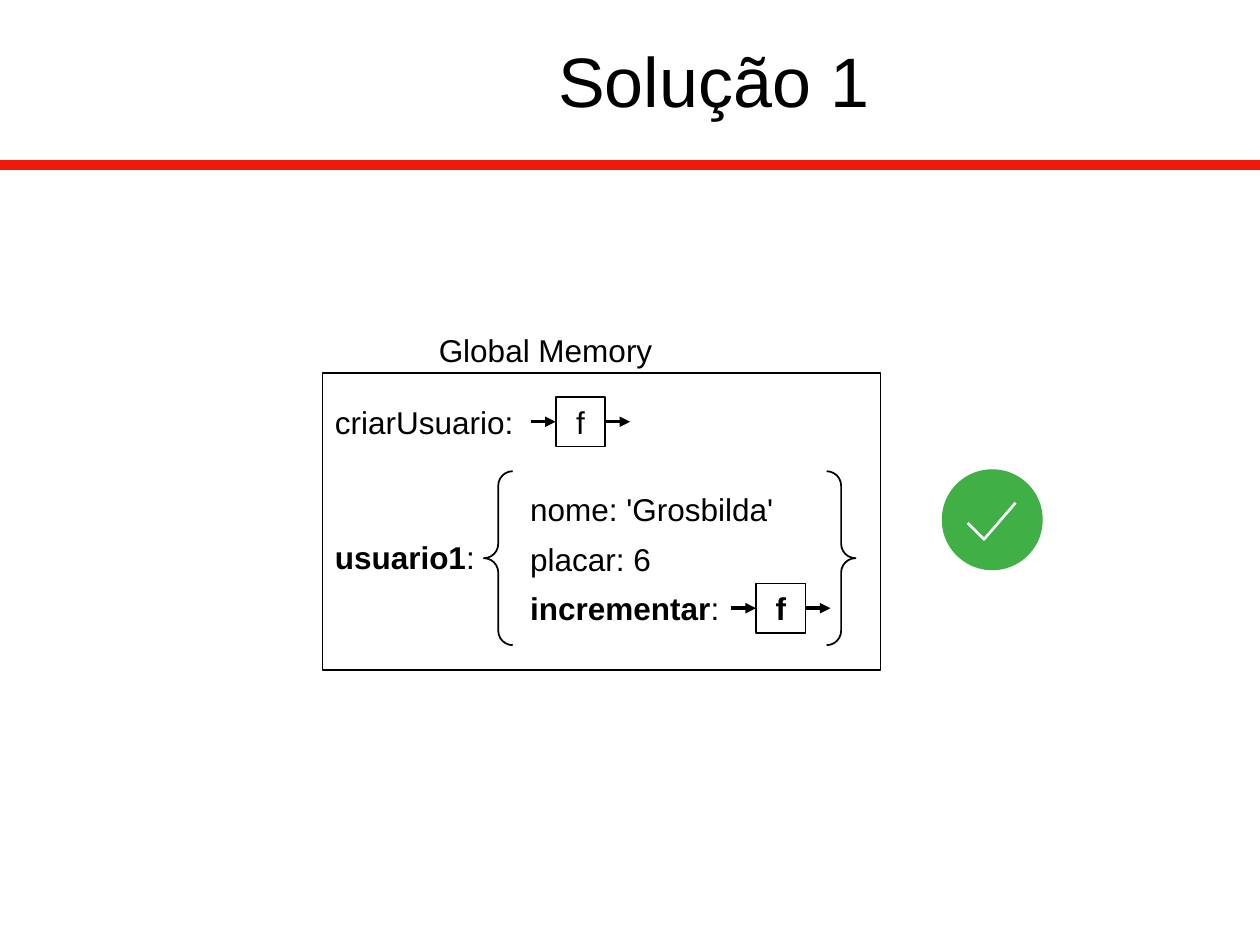
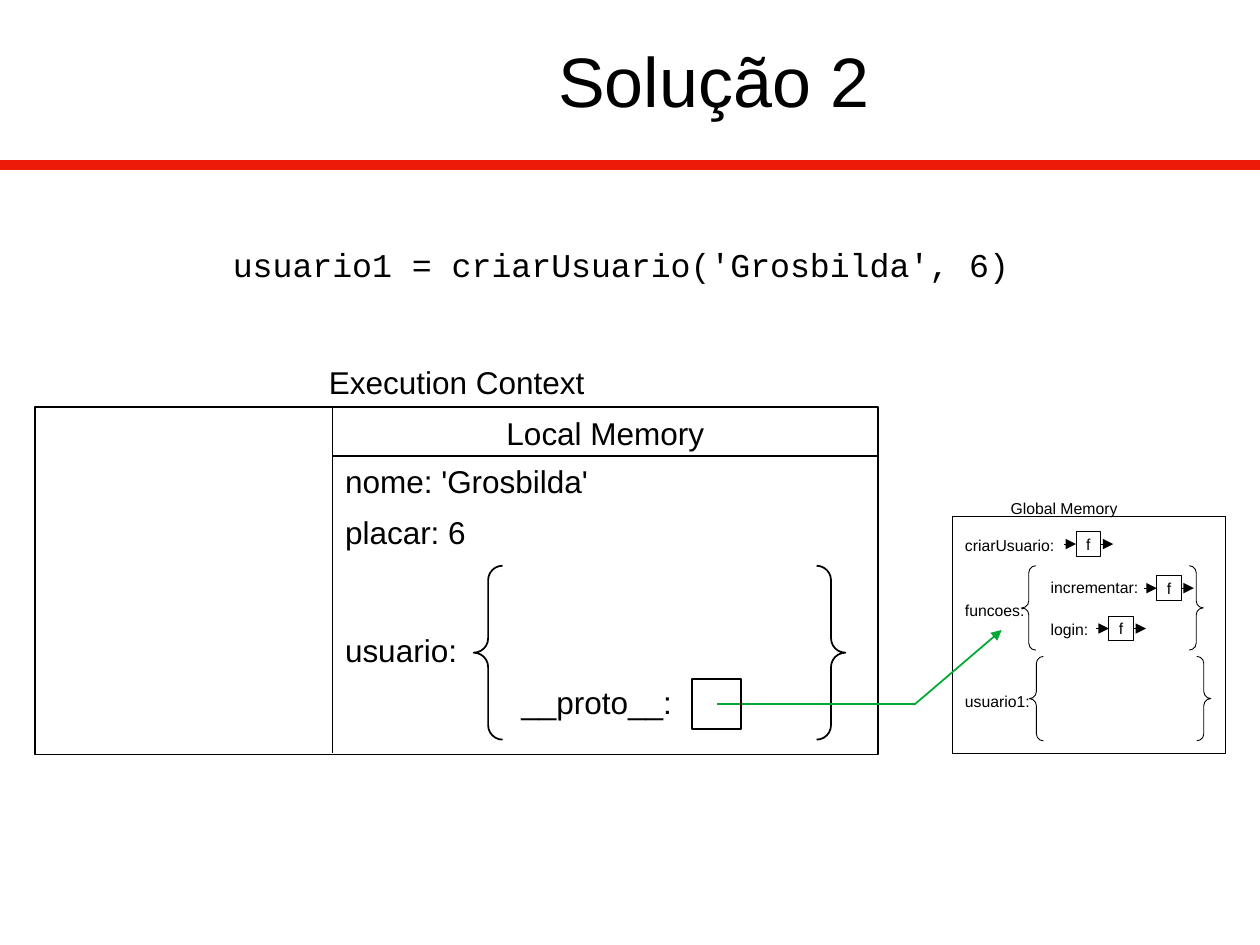
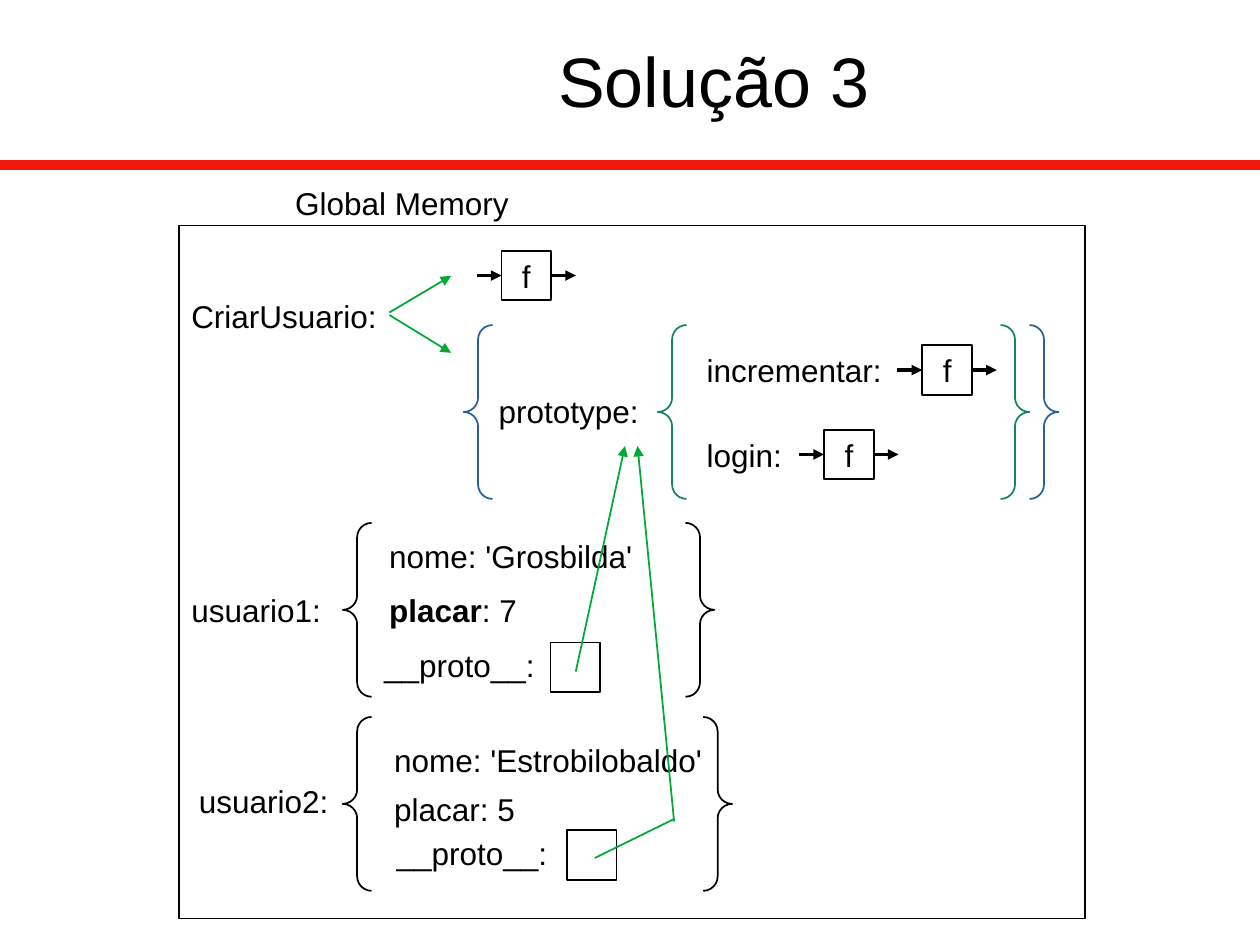
from lxml import etree
from pptx import Presentation
from pptx.dml.color import RGBColor
from pptx.enum.shapes import MSO_CONNECTOR, MSO_SHAPE as SHAPE
from pptx.enum.text import MSO_ANCHOR as ANCHOR, PP_ALIGN as ALIGN
from pptx.oxml.ns import qn
from pptx.util import Inches, Pt

COLOURS = {
    "ink": "000000",
    "band": "ED1909",
    "link": "00A933",
    "object": "2A6099",
    "prototype": "158466",
    "success": "3FAF46",
    "tick": "FFFFFF",
}
WIDTH, HEIGHT = Inches(10), Inches(7.5)
CELL = WIDTH // 100  # the grid has 100 columns and 75 rows
BODY, SMALL = 18, 9
SLOT = 3.94  # side of a value box at body size
LABEL_W, LABEL_H = 23.6, 4
BRACE_H = 13.8


def grid(*cells):
    return [round(cell * CELL) for cell in cells]


def rgb(name):
    return RGBColor.from_string(COLOURS[name])


def stroke(line, colour, weight):
    line.color.rgb = rgb(colour)
    line.width = Pt(weight)


def write(frame, text, size, strong="", align=ALIGN.LEFT, font="Arial"):
    """Fill a frame with one line; the leading part `strong` is bold."""
    line = frame.paragraphs[0]
    line.alignment = align
    line.text = strong or text
    if strong and text != strong:
        line.add_run().text = text.removeprefix(strong)
    for run in line.runs:
        run.font.name = font
        run.font.size = Pt(size)
        run.font.bold = run.text == strong
        run.font.color.rgb = rgb("ink")


def label(slide, x, y, text, size=BODY, width=None, height=None, **style):
    scale = size / BODY
    box = slide.shapes.add_textbox(
        *grid(x, y, width or LABEL_W * scale, height or LABEL_H * scale))
    box.text_frame.word_wrap = True
    write(box.text_frame, text, size, **style)
    return box.text_frame


def outline(slide, kind, x, y, width, height, colour="ink", weight=1):
    shape = slide.shapes.add_shape(kind, *grid(x, y, width, height))
    shape.shadow.inherit = False
    shape.fill.background()
    stroke(shape.line, colour, weight)
    return shape


def braces(slide, x, y, width=29.5, height=BRACE_H, **style):
    pair = outline(slide, SHAPE.DOUBLE_BRACE, x, y, width, height, **style)
    pair.adjustments[0] = 0.083


def connect(slide, start, end, colour="link", weight=1, arrow=True):
    connector = slide.shapes.add_connector(
        MSO_CONNECTOR.STRAIGHT, *grid(*start, *end))
    stroke(connector.line, colour, weight)
    properties = connector._element.spPr
    if arrow:
        etree.SubElement(properties.find(qn("a:ln")), qn("a:tailEnd"), type="triangle")
    etree.SubElement(properties, qn("a:effectLst"))


def slot(slide, x, y, size=BODY):
    """Square that holds a value or a reference."""
    scale = size / BODY
    return outline(slide, SHAPE.RECTANGLE, x, y, SLOT * scale, SLOT * scale, weight=scale)


def function_box(slide, x, y, size=BODY, strong=""):
    """Square marked f with an arrow going in and one coming out."""
    frame = slot(slide, x, y, size).text_frame
    frame.word_wrap = False
    frame.vertical_anchor = ANCHOR.MIDDLE
    write(frame, "f", size, strong, ALIGN.CENTER)
    side = SLOT * size / BODY
    middle = y + side / 2
    for left in (x - side / 2, x + side):
        connect(slide, (left, middle), (left + side / 2, middle), "ink",
                weight=0 if size == BODY else 0.5)


def memory(slide, x, y, width, height, size=BODY):
    """Global memory frame with its caption above."""
    scale = size / BODY
    label(slide, x, y - 3.8 * scale, "Global Memory", size, 35.4 * scale,
          align=ALIGN.CENTER)
    outline(slide, SHAPE.RECTANGLE, x, y, width, height, weight=scale)


def success_mark(slide, x, y, size):
    disc = outline(slide, SHAPE.OVAL, x, y, size, size, "success", 0.79)
    disc.fill.solid()
    disc.fill.fore_color.rgb = rgb("success")
    points = [grid(x + dx, y + dy) for dx, dy in ((2, 4.2), (3.3, 5.5), (5.8, 2.6))]
    builder = slide.shapes.build_freeform(*points[0])
    builder.add_line_segments(points[1:], close=False)
    tick = builder.convert_to_shape()
    tick.shadow.inherit = False
    tick.fill.background()
    stroke(tick.line, "tick", 1.5)


def solution_slide(deck, title):
    slide = deck.slides.add_slide(deck.slide_layouts[6])
    connect(slide, (0, 13.1), (100, 13.1), "band", 6, arrow=False)
    frame = label(slide, 15.3, -0.9, title, 40, 82.7, 14.4, align=ALIGN.CENTER)
    frame.vertical_anchor = ANCHOR.MIDDLE
    return slide


def object_in_memory(deck):
    slide = solution_slide(deck, "Solução 1")
    memory(slide, 25.6, 29.6, 44.3, 23.6)
    label(slide, 25.6, 31.5, "criarUsuario:")
    function_box(slide, 44.1, 31.5)
    label(slide, 25.6, 42.2, "usuario1:", strong="usuario1")
    fields = (("nome: 'Grosbilda'", ""), ("placar: 6", ""), ("incrementar:", "incrementar"))
    for row, (field, strong) in enumerate(fields):
        label(slide, 41.1, 38.4 + row * SLOT, field, strong=strong)
    function_box(slide, 60, 46.3, strong="f")
    braces(slide, 38.4, 37.4)
    success_mark(slide, 74.8, 37.3, 7.9)


def execution_context(slide):
    left, divider, right, top = 2.8, 26.4, 69.7, 32.3
    connect(slide, (divider, top), (divider, 59.8), "ink", arrow=False)
    connect(slide, (divider, 36.2), (right, 36.2), "ink", arrow=False)
    label(slide, left, 28.3, "Execution Context", width=right - left, align=ALIGN.CENTER)
    label(slide, divider, 32.4, "Local Memory", width=right - divider, align=ALIGN.CENTER)
    for y, field in ((36.2, "nome: 'Grosbilda'"), (40.2, "placar: 6"), (49.6, "usuario:")):
        label(slide, divider, y, field)
    outline(slide, SHAPE.RECTANGLE, left, top, right - left, 27.6)
    braces(slide, 37.6, 44.9)
    label(slide, 40.4, 53.7, "__proto__:")


def shared_functions(deck):
    slide = solution_slide(deck, "Solução 2")
    call = label(slide, 17.5, 18.9, "usuario1 = criarUsuario('Grosbilda', 6)", 19,
                 63.7, 4.2, font="Courier New")
    call.word_wrap = False
    execution_context(slide)

    left = 75.6
    memory(slide, left, 41, 21.7, 18.8, SMALL)
    for x, y, name in ((left, 42, "criarUsuario:"), (left, 47.2, "funcoes:"),
                       (82.4, 45.4, "incrementar:"), (82.4, 48.7, "login:"),
                       (left, 54.4, "usuario1:")):
        label(slide, x, y, name, SMALL)
    for x, y in ((81.1, 44.9), (81.7, 52.1)):
        braces(slide, x, y, 14.4, 6.7, weight=0.5)
    for x, y in ((85.4, 42.2), (91.8, 45.7), (88, 48.9)):
        function_box(slide, x, y, SMALL)

    bend = (72.6, 55.9)
    connect(slide, (56.9, 55.9), bend, arrow=False)
    connect(slide, bend, (79.5, 50))
    slot(slide, 54.9, 53.9)


def constructor_prototype(deck):
    slide = solution_slide(deck, "Solução 3")
    memory(slide, 14.2, 17.9, 71.9, 55)
    for x, y, text, strong in (
            (14.2, 23.1, "CriarUsuario:", ""),
            (38.6, 30.6, "prototype:", ""),
            (55.1, 27.4, "incrementar:", ""),
            (55.1, 34.1, "login:", ""),
            (14.2, 46.4, "usuario1:", ""),
            (29.9, 42.1, "nome: 'Grosbilda'", ""),
            (29.9, 46.4, "placar: 7", "placar"),
            (29.5, 50.8, "__proto__:", ""),
            (14.8, 61.6, "usuario2:", ""),
            (30.3, 62.2, "placar: 5", ""),
            (30.5, 65.7, "__proto__:", "")):
        label(slide, x, y, text, strong=strong)
    label(slide, 30.3, 58.3, "nome: 'Estrobilobaldo'", width=26.7)

    for x, y in ((39.8, 19.9), (73.2, 27.4), (65.4, 34.1)):
        function_box(slide, x, y)
    for x, y in ((43.7, 51), (45, 65.9)):
        slot(slide, x, y)

    braces(slide, 36.8, 25.8, 47.2, colour="object")
    braces(slide, 52.2, 25.8, colour="prototype")
    braces(slide, 27.2, 41.5)
    braces(slide, 27.2, 56.9, 30.9)

    connect(slide, (30.9, 24.8), (35.8, 21.9))
    connect(slide, (30.9, 25), (35.8, 28))
    connect(slide, (45.7, 53.3), (49.6, 35.4))
    connect(slide, (47.2, 68.1), (53.5, 65), arrow=False)
    connect(slide, (53.5, 65.2), (50.6, 35.4))


def main():
    deck = Presentation()
    deck.slide_width, deck.slide_height = WIDTH, HEIGHT
    object_in_memory(deck)
    shared_functions(deck)
    constructor_prototype(deck)
    deck.save("out.pptx")


if __name__ == "__main__":
    main()
